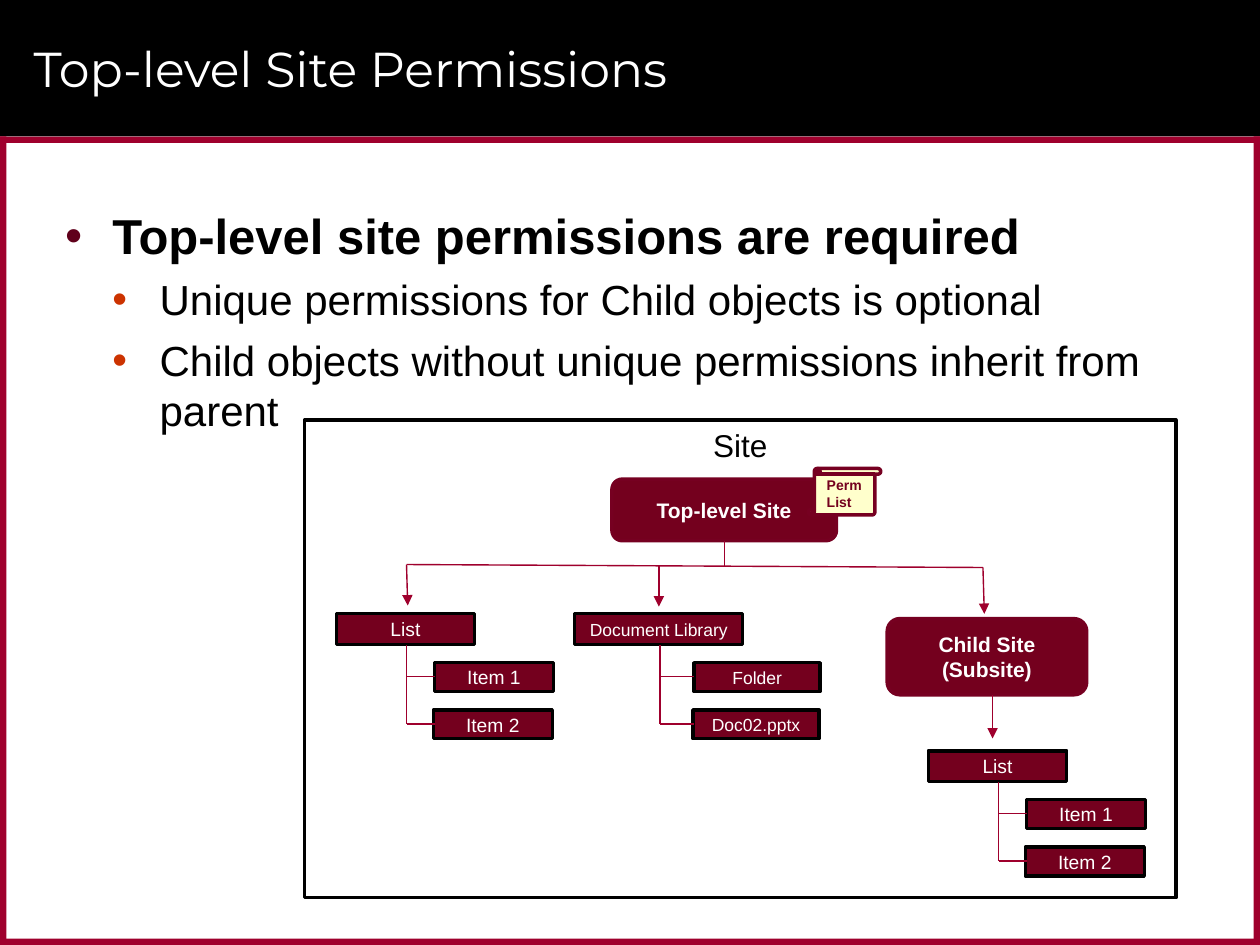
from lxml.etree import SubElement
from pptx import Presentation
from pptx.dml.color import RGBColor
from pptx.enum.shapes import MSO_CONNECTOR, MSO_SHAPE
from pptx.enum.text import MSO_ANCHOR, MSO_AUTO_SIZE, PP_ALIGN
from pptx.oxml.ns import qn
from pptx.util import Pt

BLACK, WHITE = "000000", "FFFFFF"
RED, WINE, EDGE = "9F002D", "74001E", "760021"


def tint(code):
    return RGBColor.from_string(code)


def add_run(para, text, size, color=WHITE, bold=False, face="Arial"):
    run = para.add_run()
    run.text = text
    font = run.font
    font.name, font.size, font.bold = face, Pt(size), bold
    font.color.rgb = tint(color)


def place(shape, left, top, width, height):
    shape.left, shape.top = Pt(left), Pt(top)
    shape.width, shape.height = Pt(width), Pt(height)


def add_box(shapes, spot, fill, line=None, kind=MSO_SHAPE.RECTANGLE):
    box = shapes.add_shape(kind, *map(Pt, spot))
    box.shadow.inherit = False
    box.fill.solid()
    box.fill.fore_color.rgb = tint(fill)
    if line:
        box.line.color.rgb = tint(line)
        box.line.width = Pt(2)
    else:
        box.line.fill.background()
    return box


def label(box, lines, size, color=WHITE, bold=False,
          align=PP_ALIGN.CENTER, anchor=MSO_ANCHOR.MIDDLE):
    frame = box.text_frame
    frame.word_wrap = True
    frame.vertical_anchor = anchor
    frame.margin_top = frame.margin_bottom = Pt(0)
    for i, text in enumerate(lines):
        para = frame.add_paragraph() if i else frame.paragraphs[0]
        para.alignment = align
        add_run(para, text, size, color, bold)


def add_line(shapes, x1, y1, x2, y2, arrow=False):
    line = shapes.add_connector(MSO_CONNECTOR.STRAIGHT, Pt(x1), Pt(y1), Pt(x2), Pt(y2))
    line.line.color.rgb = tint(RED)
    line.line.width = Pt(0.79)
    if arrow:
        SubElement(line.line._get_or_add_ln(), qn("a:tailEnd"), type="triangle")
    SubElement(line.element.spPr, qn("a:effectLst"))


def add_site(shapes, spot, text):
    box = add_box(shapes, spot, WINE, EDGE, MSO_SHAPE.ROUNDED_RECTANGLE)
    label(box, [text], 12, bold=True)


def add_tree(shapes, left, top, width, trunk, stem, leaf, size, names):
    """Draw a head box with two leaves hung from a trunk; stem is the branch length."""
    def node(x, y, wide, high, text):
        label(add_box(shapes, (x, y, wide, high), WINE, BLACK), [text], size)

    head, *leaves = names
    node(left, top, width, 17.5, head)
    for i, name in enumerate(leaves):
        mid = top + 36 + 27 * i
        node(trunk + stem - 0.7 * i, mid - 8, leaf, 16.5, name)
        add_line(shapes, trunk, mid, trunk + stem, mid)
    add_line(shapes, trunk, top + 18, trunk, top + 63)


def add_frame(shapes):
    add_box(shapes, (0, 0, 720, 78), BLACK)
    for spot in ((0, 78, 720, 3.6), (0, 536.4, 720, 3.6),
                 (716.4, 78, 3.6, 462), (0, 78, 3.6, 462)):
        add_box(shapes, spot, RED)


def fill_title(title):
    place(title, 12, 6, 678, 66)
    frame = title.text_frame
    frame.vertical_anchor = MSO_ANCHOR.MIDDLE
    frame.auto_size = MSO_AUTO_SIZE.NONE
    para = frame.paragraphs[0]
    para.alignment = PP_ALIGN.LEFT
    add_run(para, "Top-level Site Permissions", 28, face="Montserrat")


def add_point(para, text, level):
    para.level = level
    size, color, left, before, after = (
        (24, "CC3300", 54, 3, 3) if level else (28, "60001B", 27, 0, 2))
    para.space_before, para.space_after = Pt(before), Pt(after)
    props = para._p.get_or_add_pPr()
    props.set("marL", str(Pt(left)))
    props.set("indent", str(-Pt(27)))
    SubElement(SubElement(props, qn("a:buClr")), qn("a:srgbClr"), val=color)
    SubElement(props, qn("a:buFont"), typeface="Arial")
    SubElement(props, qn("a:buChar"), char="•")
    add_run(para, text, size, BLACK, bold=not level)


def fill_body(body):
    place(body, 30, 114, 660, 408)
    frame = body.text_frame
    frame.auto_size = MSO_AUTO_SIZE.NONE
    points = (
        ("Top-level site permissions are required", 0),
        ("Unique permissions for Child objects is optional", 1),
        ("Child objects without unique permissions inherit from parent", 1),
    )
    for i, (text, level) in enumerate(points):
        para = frame.add_paragraph() if i else frame.paragraphs[0]
        add_point(para, text, level)


def draw_chart(shapes):
    panel = add_box(shapes, (174, 240, 498, 273), WHITE, BLACK)
    label(panel, ["Site"], 18, BLACK, anchor=MSO_ANCHOR.TOP)
    panel.text_frame.margin_top = Pt(3.6)

    add_site(shapes, (349.7, 273.8, 128.3, 35.2), "Top-level Site")
    add_site(shapes, (507, 353.5, 114, 43.5), "Child Site (Subsite)")
    scroll = add_box(shapes, (462, 267.7, 41.3, 26.6), "FFFFCC", EDGE,
                     MSO_SHAPE.VERTICAL_SCROLL)
    label(scroll, ["Perm", "List"], 8, WINE, True, PP_ALIGN.LEFT)
    scroll.text_frame.word_wrap = False

    items = ("List", "Item 1", "Item 2")
    files = ("Document Library", "Folder", "Doc02.pptx")
    add_tree(shapes, 192.2, 350.7, 79, 232.3, 16, 68, 11, items)
    add_tree(shapes, 328.4, 350.7, 96, 377.2, 19.5, 72, 10, files)
    add_tree(shapes, 530.5, 429, 79, 570.6, 16, 68, 11, items)

    add_line(shapes, 414, 309, 414, 323.4)
    add_line(shapes, 232.3, 322.6, 561.7, 324.3)
    for ends in ((232.3, 322.6, 233, 346), (376.5, 323.4, 376.5, 346.6),
                 (561.7, 324.3, 562.5, 350.8), (567.2, 397, 567.2, 422)):
        add_line(shapes, *ends, arrow=True)


def main():
    deck = Presentation()
    deck.slide_width, deck.slide_height = Pt(720), Pt(540)
    slide = deck.slides.add_slide(deck.slide_layouts[1])
    title, body = slide.placeholders
    add_frame(slide.shapes)
    for holder in (title, body):  # bring the text in front of the bars
        holder.element.getparent().append(holder.element)
    fill_title(title)
    fill_body(body)
    draw_chart(slide.shapes.add_group_shape().shapes)
    deck.save("out.pptx")


if __name__ == "__main__":
    main()
